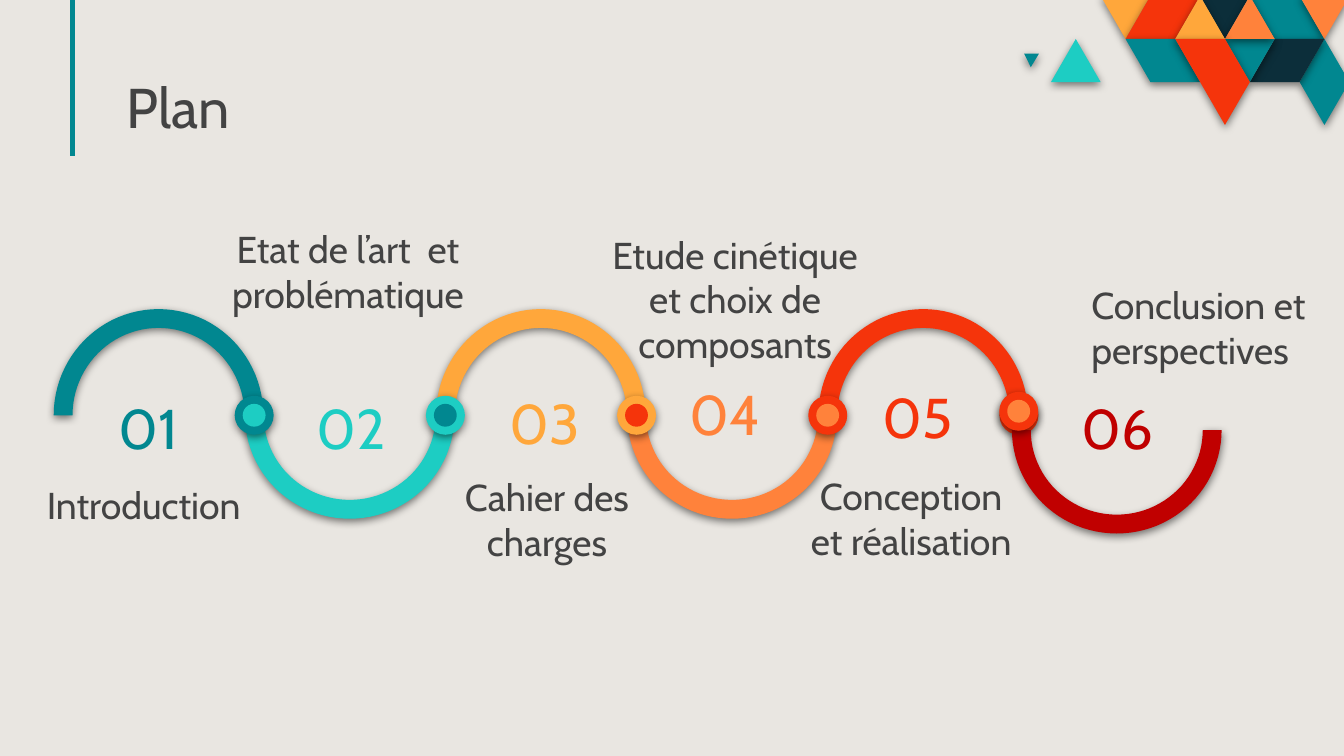
import math
from dataclasses import dataclass

import lxml.etree
import pptx
import pptx.dml.color
import pptx.enum.shapes
import pptx.enum.text
import pptx.oxml.ns
import pptx.util

Inches = pptx.util.Inches
ALIGN = pptx.enum.text.PP_ALIGN
ANCHOR = pptx.enum.text.MSO_ANCHOR


@dataclass(frozen=True)
class Theme:
    """Colours, font and type sizes of the deck."""
    paper: str = "E9E6E1"
    ink: str = "434343"
    teal: str = "018790"
    turquoise: str = "1DCDC3"
    amber: str = "FFA73B"
    orange: str = "FF823B"
    red: str = "F5340B"
    crimson: str = "C00000"
    navy: str = "0C2E3A"
    font: str = "Cabin"
    heading: int = 30
    label: int = 20


THEME = Theme()
FIRST_CENTRE, LAST_CENTRE = 1.18, 6.87
AXIS = 3.09

NUMBERS = [
    ("01", 0.70, 2.94, THEME.teal),
    ("02", 2.21, 2.94, THEME.turquoise),
    ("03", 3.65, 2.91, THEME.amber),
    ("04", 4.99, 2.84, THEME.orange),
    ("05", 6.42, 2.86, THEME.red),
    ("06", 7.91, 2.94, THEME.crimson),
]
LABELS = [
    ("Introduction", 0.04, 3.52, 2.06),
    ("Etat de l’art  et problématique", 1.56, 1.78, 2.06),
    ("Cahier des charges", 3.03, 3.63, 2.08),
    ("Etude cinétique et choix de composants", 4.43, 1.99, 2.08),
    ("Conception et réalisation", 5.91, 3.62, 1.74),
]
LINKS = [
    (THEME.teal, THEME.teal, THEME.turquoise),
    (THEME.turquoise, THEME.turquoise, THEME.teal),
    (THEME.amber, THEME.amber, THEME.red),
    (THEME.orange, THEME.red, THEME.orange),
    (THEME.red, THEME.red, THEME.amber),
]
TILES = [
    (THEME.amber, [(2, 0), (3, 1), (4, 0)]),
    (THEME.red, [(3, 1), (5, 1), (6, 0), (4, 0)]),
    (THEME.teal, [(8, 0), (9, 1), (11, 1), (10, 0)]),
    (THEME.orange, [(10, 0), (11, 1), (12, 0)]),
    (THEME.navy, [(6, 0), (7, 1), (8, 0)]),
    (THEME.teal, [(3, 1), (4, 2), (6, 2), (5, 1)]),
    (THEME.turquoise, [(0, 2), (2, 2), (1, 1)]),
    (THEME.teal, [(10, 2), (11, 3), (12, 2), (11, 1)]),
    (THEME.navy, [(8, 2), (10, 2), (11, 1), (9, 1)]),
    (THEME.teal, [(7, 1), (8, 2), (9, 1)]),
    (THEME.orange, [(7, 1), (9, 1), (8, 0)]),
    (THEME.amber, [(5, 1), (7, 1), (6, 0)]),
    (THEME.red, [(5, 1), (7, 3), (9, 1)][:1] + [(7, 3), (8, 2), (7, 1)]),
]


def rgb(code):
    """Return the colour object of a hex code."""
    return pptx.dml.color.RGBColor.from_string(code)


def paint(shape, colour, shadow=True):
    """Fill a shape without outline and give it a soft shadow if wanted."""
    shape.fill.solid()
    shape.fill.fore_color.rgb = rgb(colour)
    shape.line.fill.background()
    shape.shadow.inherit = False
    if shadow:
        qn = pptx.oxml.ns.qn
        effects = shape._element.spPr.find(qn("a:effectLst"))
        outer = lxml.etree.SubElement(effects, qn("a:outerShdw"), blurRad="57150",
                                      dist="19050", dir="5400000", algn="bl", rotWithShape="0")
        black = lxml.etree.SubElement(outer, qn("a:srgbClr"), val="000000")
        lxml.etree.SubElement(black, qn("a:alpha"), val="50000")


def add_outline(page, points, colour):
    """Draw a closed polygon through points given in inches."""
    corners = [(Inches(x), Inches(y)) for x, y in points]
    builder = page.shapes.build_freeform(*corners[0])
    builder.add_line_segments(corners[1:], close=True)
    paint(builder.convert_to_shape(), colour)


def add_half_ring(page, centre, axis, height, colour):
    """Draw half a ring, upward for a positive height and downward for a negative one."""
    inner = height - math.copysign(0.14, height)
    angles = [math.pi * i / 48 for i in range(49)]
    outside = [(centre - 0.78 * math.cos(a), axis - height * math.sin(a)) for a in angles]
    inside = [(centre + 0.64 * math.cos(a), axis - inner * math.sin(a)) for a in angles]
    add_outline(page, outside + inside, colour)


def add_dot(page, x, y, ring, core):
    """Draw a shadowed disc with a smaller disc at its centre."""
    for size, colour, shadow in ((0.29, ring, True), (0.17, core, False)):
        disc = page.shapes.add_shape(pptx.enum.shapes.MSO_SHAPE.OVAL, Inches(x - size / 2),
                                     Inches(y - size / 2), Inches(size), Inches(size))
        paint(disc, colour, shadow)


def write(box, text, size, colour, align=ALIGN.CENTER, anchor=ANCHOR.MIDDLE, indent=0.1):
    """Set one formatted paragraph in a box and return it."""
    frame = box.text_frame
    frame.auto_size = pptx.enum.text.MSO_AUTO_SIZE.NONE
    frame.word_wrap = True
    frame.vertical_anchor = anchor
    frame.margin_left = Inches(indent)
    frame.margin_right = frame.margin_top = frame.margin_bottom = Inches(0.1)
    para = frame.paragraphs[0]
    para.alignment = align
    span = para.add_run()
    span.text = text
    span.font.name = THEME.font
    span.font.size = pptx.util.Pt(size)
    span.font.color.rgb = rgb(colour)
    return para


def add_text(page, text, left, top, width, size, colour, **layout):
    """Add a text box of one line's height."""
    box = page.shapes.add_textbox(Inches(left), Inches(top), Inches(width), Inches(0.47))
    write(box, text, size, colour, **layout)


def add_title(page, text):
    """Place the title beside its vertical rule."""
    title = page.shapes.title
    title.left, title.top = Inches(0.84), Inches(0.51)
    title.width, title.height = Inches(8.34), Inches(0.63)
    para = write(title, text, THEME.heading, THEME.ink, ALIGN.LEFT, ANCHOR.BOTTOM)
    para.line_spacing = 0.8
    rule = page.shapes.add_connector(pptx.enum.shapes.MSO_CONNECTOR.STRAIGHT, Inches(0.54),
                                     Inches(-0.07), Inches(0.54), Inches(1.16))
    rule.line.color.rgb = rgb(THEME.teal)
    rule.line.width = pptx.util.Pt(2.25)
    lxml.etree.SubElement(rule._element.spPr, pptx.oxml.ns.qn("a:effectLst"))


def add_wave(page):
    """Draw the chain of half rings from right to left, then its last link."""
    step = (LAST_CENTRE - FIRST_CENTRE) / (len(LINKS) - 1)
    for i, (arc, ring, core) in reversed(list(enumerate(LINKS))):
        centre = FIRST_CENTRE + step * i
        add_half_ring(page, centre, AXIS, -0.77 if i % 2 else 0.79, arc)
        add_dot(page, centre + step / 2, AXIS, ring, core)
    add_half_ring(page, 8.31, 3.2, -0.77, THEME.crimson)
    add_dot(page, 7.58, 3.06, THEME.red, THEME.orange)


def add_mosaic(page):
    """Draw the corner mosaic on a triangular grid."""
    for colour, cells in TILES:
        points = [(7.82 + 0.185 * column, 0.32 * row - 0.03) for column, row in cells]
        add_outline(page, points, colour)
    add_outline(page, [(7.62, 0.4), (7.67, 0.5), (7.73, 0.4)], THEME.teal)


def main():
    """Build the plan slide and save it."""
    deck = pptx.Presentation()
    deck.slide_width = Inches(10)
    deck.slide_height = deck.slide_width * 9 // 16
    page = deck.slides.add_slide(deck.slide_layouts[5])
    page.background.fill.solid()
    page.background.fill.fore_color.rgb = rgb(THEME.paper)
    add_title(page, "Plan")
    add_wave(page)
    add_mosaic(page)
    for text, left, top, colour in NUMBERS:
        add_text(page, text, left, top, 0.81, THEME.heading, colour)
    for text, left, top, width in LABELS:
        add_text(page, text, left, top, width, THEME.label, THEME.ink)
    add_text(page, "Conclusion et perspectives", 7.39, 2.2, 3.07, THEME.label, THEME.ink,
             align=ALIGN.LEFT, indent=0.73)
    deck.save("out.pptx")


if __name__ == "__main__":
    main()
